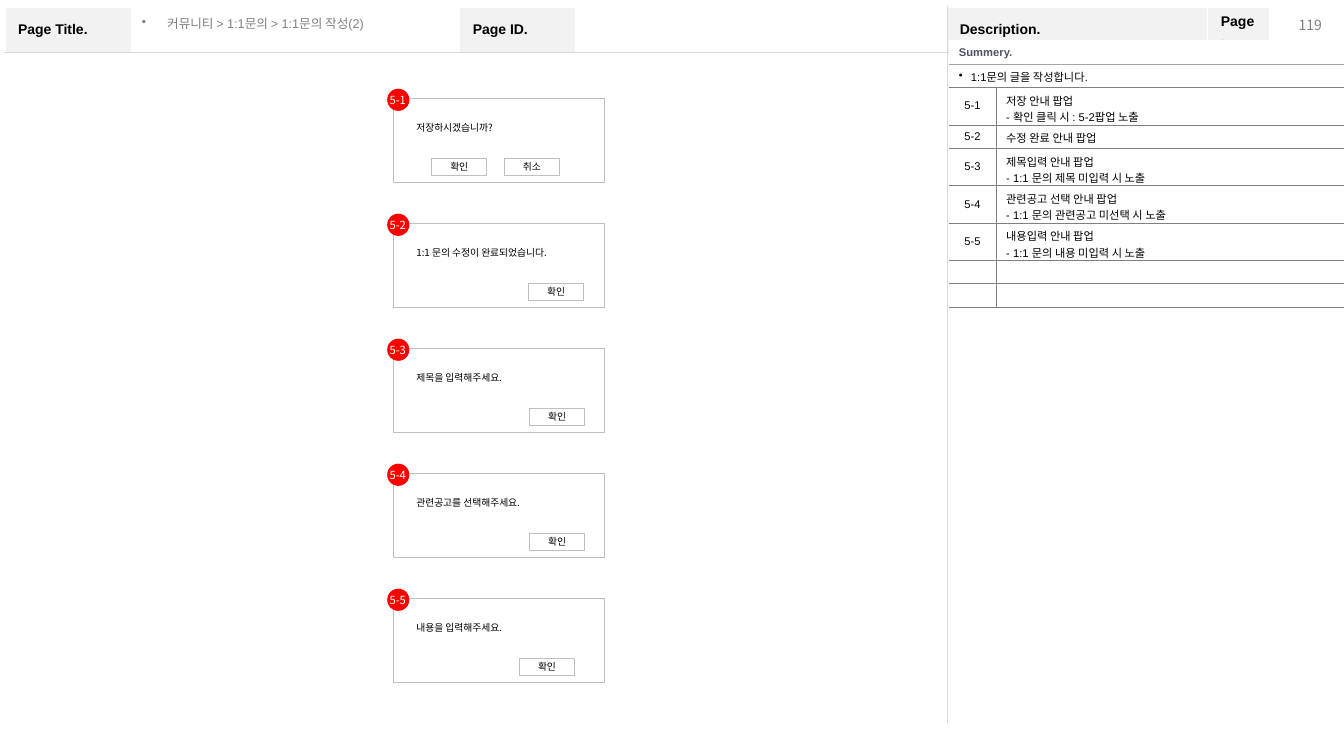
from dataclasses import dataclass

from lxml import etree
from pptx import Presentation
from pptx.dml.color import RGBColor
from pptx.enum.shapes import MSO_SHAPE
from pptx.enum.text import MSO_ANCHOR, MSO_AUTO_SIZE, PP_ALIGN
from pptx.oxml.ns import qn
from pptx.util import Inches, Pt

LEFT, CENTER, RIGHT, JUSTIFY = PP_ALIGN.LEFT, PP_ALIGN.CENTER, PP_ALIGN.RIGHT, PP_ALIGN.JUSTIFY
TOP, MIDDLE = MSO_ANCHOR.TOP, MSO_ANCHOR.MIDDLE
RECT, OVAL = MSO_SHAPE.RECTANGLE, MSO_SHAPE.OVAL
FIT_TEXT = MSO_AUTO_SIZE.SHAPE_TO_FIT_TEXT

BLACK = RGBColor(0x00, 0x00, 0x00)
WHITE = RGBColor(0xFF, 0xFF, 0xFF)
RED = RGBColor(0xFF, 0x00, 0x00)
SLATE = RGBColor(0x4E, 0x52, 0x63)
GRAY_TEXT = RGBColor(0x80, 0x80, 0x80)
PAGE_GRAY = RGBColor(0x7F, 0x7F, 0x7F)
OUTLINE = RGBColor(0xBF, 0xBF, 0xBF)
HEADER_FILL = RGBColor(0xF2, 0xF2, 0xF2)

ARIAL, NOTO = "Arial", "Noto Sans CJK KR"
NO_GRID_STYLE = "{2D5ABB26-0587-4C30-8999-92F81FD0307C}"


@dataclass(frozen=True)
class Edge:
    color: RGBColor
    width: float


@dataclass(frozen=True)
class Style:
    size: float
    color: RGBColor = BLACK
    font: str = NOTO
    bold: bool = False
    align: PP_ALIGN = LEFT


@dataclass(frozen=True)
class Button:
    label: str
    left: float


@dataclass(frozen=True)
class Popup:
    number: str
    message: str
    buttons: tuple[Button, ...]
    notes: tuple[str, ...]


BLANK_EDGE, PALE = Edge(WHITE, 1), Edge(RGBColor(0xD9, 0xD9, 0xD9), 0.25)
MID, DARK = Edge(RGBColor(0xA6, 0xA6, 0xA6), 0.25), Edge(GRAY_TEXT, 0.25)

HEADER = Style(10, font=ARIAL, bold=True)
NOTE = Style(8, font=ARIAL, align=JUSTIFY)
NUMBER = Style(8, font=ARIAL, align=CENTER)
SUMMARY = Style(8, SLATE, ARIAL, bold=True)
MESSAGE = Style(7)
LABEL = Style(7, align=CENTER)
BADGE = Style(8, WHITE, align=CENTER)

POPUPS = (
    Popup("5-1", "저장하시겠습니까?", (Button("확인", 4.28), Button("취소", 5)),
          ("저장 안내 팝업", "- 확인 클릭 시 : 5-2팝업 노출")),
    Popup("5-2", "1:1 문의 수정이 완료되었습니다.", (Button("확인", 5.24),),
          ("수정 완료 안내 팝업",)),
    Popup("5-3", "제목을 입력해주세요.", (Button("확인", 5.25),),
          ("제목입력 안내 팝업", "- 1:1 문의 제목 미입력 시 노출")),
    Popup("5-4", "관련공고를 선택해주세요.", (Button("확인", 5.25),),
          ("관련공고 선택 안내 팝업", "- 1:1 문의 관련공고 미선택 시 노출")),
    Popup("5-5", "내용을 입력해주세요.", (Button("확인", 5.15),),
          ("내용입력 안내 팝업", "- 1:1 문의 내용 미입력 시 노출")),
)
POPUP_LEFT, POPUP_TOP, POPUP_PITCH = 3.9, 0.98, 1.24


def write(tf, lines: tuple[str, ...], style: Style) -> None:
    for i, line in enumerate(lines):
        p = tf.paragraphs[0] if i == 0 else tf.add_paragraph()
        p.alignment = style.align
        r = p.add_run()
        r.text = line
        r.font.size, r.font.bold, r.font.name = Pt(style.size), style.bold, style.font
        r.font.color.rgb = style.color
        etree.SubElement(r.font._element, qn("a:ea"), typeface=NOTO)


def set_margins(box, x: float, y: float) -> None:
    box.margin_left = box.margin_right = Inches(x)
    box.margin_top = box.margin_bottom = Inches(y)


def add_bullet(p, indent: float) -> None:
    pPr = p._p.get_or_add_pPr()
    pPr.set("marL", str(Inches(indent)))
    pPr.set("indent", str(-Inches(indent)))
    etree.SubElement(pPr, qn("a:buChar"), char="•")


def add_grid(shapes, left: float, top: float, cols: tuple[float, ...], rows: tuple[float, ...]):
    table = shapes.add_table(len(rows), len(cols), Inches(left), Inches(top),
                             Inches(sum(cols)), Inches(sum(rows))).table
    table.first_row = table.horz_banding = False
    table._tbl.tblPr.find(qn("a:tableStyleId")).text = NO_GRID_STYLE
    for col, width in zip(table.columns, cols):
        col.width = Inches(width)
    for row, height in zip(table.rows, rows):
        row.height = Inches(height)
    return table


def style_cell(cell, fill: RGBColor | None = None, **edges: Edge) -> None:
    """Draw the given edges (L, R, T, B), then the fill."""
    tcPr = cell._tc.get_or_add_tcPr()
    for side in "LRTB":
        edge = edges.get(side)
        ln = etree.SubElement(tcPr, qn(f"a:ln{side}"))
        if edge is None:
            etree.SubElement(ln, qn("a:noFill"))
        else:
            ln.set("w", str(Pt(edge.width)))
            solid = etree.SubElement(ln, qn("a:solidFill"))
            etree.SubElement(solid, qn("a:srgbClr"), val=str(edge.color))
    if fill is None:
        cell.fill.background()
    else:
        cell.fill.solid()
        cell.fill.fore_color.rgb = fill
    cell.vertical_anchor = MIDDLE


def add_text(shapes, left: float, top: float, width: float, height: float, text: str, style: Style):
    tf = shapes.add_textbox(Inches(left), Inches(top), Inches(width), Inches(height)).text_frame
    tf.word_wrap, tf.vertical_anchor = True, MIDDLE
    write(tf, (text,), style)
    return tf


def add_box(shapes, kind: MSO_SHAPE, left: float, top: float, width: float, height: float,
            fill: RGBColor = WHITE, line: RGBColor | None = None):
    sp = shapes.add_shape(kind, Inches(left), Inches(top), Inches(width), Inches(height))
    sp.shadow.inherit = False
    sp.fill.solid()
    sp.fill.fore_color.rgb = fill
    if line is None:
        sp.line.fill.background()
    else:
        sp.line.color.rgb, sp.line.width = line, Pt(0.75)
    return sp


def add_page_frame(shapes) -> None:
    table = add_grid(shapes, 0.05, 0.07, (1.26, 3.25, 1.15, 3.68, 2.59, 0.61, 0.68), (0.33, 6.66))
    titles = ("Page Title.", "", "Page ID.", "", "Description.", "Page.", "")
    for i, title in enumerate(titles):
        cell = table.cell(0, i)
        style_cell(cell, HEADER_FILL if title else None, T=BLANK_EDGE, B=PALE,
                   L=PALE if i == 4 else BLANK_EDGE, R=PALE if i == 3 else BLANK_EDGE)
        set_margins(cell, 0.13, 0.07)
        if title:
            write(cell.text_frame, (title,), HEADER)
    for first, last, l, r in ((0, 3, BLANK_EDGE, PALE), (4, 6, PALE, BLANK_EDGE)):
        table.cell(1, first).merge(table.cell(1, last))
        style_cell(table.cell(1, first), L=l, T=PALE, R=r, B=BLANK_EDGE)


def add_description(shapes) -> None:
    note_rows = [(p.number, p.notes) for p in POPUPS] + [("", ())] * 2
    heights = tuple(0.37 if len(notes) == 2 else 0.23 for _, notes in note_rows)
    table = add_grid(shapes, 9.41, 0.4, (0.47, 3.46), (0.23, 0.23) + heights)
    for row, edges in enumerate(({"B": MID}, {"T": MID, "B": DARK})):
        table.cell(row, 0).merge(table.cell(row, 1))
        for col in range(2):
            style_cell(table.cell(row, col), None if row else WHITE, **edges)
    write(table.cell(0, 0).text_frame, ("Summery.",), SUMMARY)
    tf = table.cell(1, 0).text_frame
    write(tf, ("1:1문의 글을 작성합니다.",), NOTE)
    add_bullet(tf.paragraphs[0], 0.12)
    for row, (number, notes) in enumerate(note_rows, start=2):
        number_cell, note_cell = table.cell(row, 0), table.cell(row, 1)
        style_cell(number_cell, T=DARK, R=DARK, B=DARK)
        style_cell(note_cell, L=DARK, T=DARK, B=DARK)
        if number:
            write(number_cell.text_frame, (number,), NUMBER)
            write(note_cell.text_frame, notes, NOTE)
        else:
            for cell in (number_cell, note_cell):
                etree.SubElement(cell.text_frame.paragraphs[0]._p, qn("a:endParaRPr"), sz="800")
    for cell in table.iter_cells():
        set_margins(cell, 0.1, 0.05)


def add_popup(shapes, popup: Popup, top: float) -> None:
    group = shapes.add_group_shape().shapes
    add_box(group, RECT, POPUP_LEFT, top, 2.1, 0.83, line=OUTLINE)
    tf = add_box(group, RECT, POPUP_LEFT + 0.23, top + 0.13, 1.7, 0.25).text_frame
    tf.word_wrap, tf.vertical_anchor, tf.auto_size = True, TOP, FIT_TEXT
    set_margins(tf, 0, 0.06)
    write(tf, (popup.message,), MESSAGE)
    tf.paragraphs[0].line_spacing = 1.3
    for button in popup.buttons:
        tf = add_box(group, RECT, button.left, top + 0.59, 0.55, 0.17, line=OUTLINE).text_frame
        tf.vertical_anchor = MIDDLE
        write(tf, (button.label,), LABEL)
    add_box(group, OVAL, POPUP_LEFT - 0.06, top - 0.1, 0.22, 0.22, RED)
    tf = add_text(group, POPUP_LEFT - 0.06, top - 0.12, 0.21, 0.27, popup.number, BADGE)
    set_margins(tf, 0, 0.05)


def main() -> None:
    prs = Presentation()
    prs.slide_width, prs.slide_height = Inches(13.33), Inches(7.5)
    shapes = prs.slides.add_slide(prs.slide_layouts[6]).shapes
    add_page_frame(shapes)
    add_text(shapes, 12.61, 0.1, 0.6, 0.3, "119", Style(10, PAGE_GRAY, align=RIGHT))
    tf = add_text(shapes, 1.31, 0.12, 3.24, 0.24, "커뮤니티 > 1:1문의 > 1:1문의 작성(2)",
                  Style(9, GRAY_TEXT, ARIAL))
    tf.paragraphs[0].line_spacing = 0.9
    add_bullet(tf.paragraphs[0], 0.25)
    add_description(shapes)
    for i, popup in enumerate(POPUPS):
        add_popup(shapes, popup, POPUP_TOP + i * POPUP_PITCH)
    prs.save("out.pptx")


if __name__ == "__main__":
    main()
